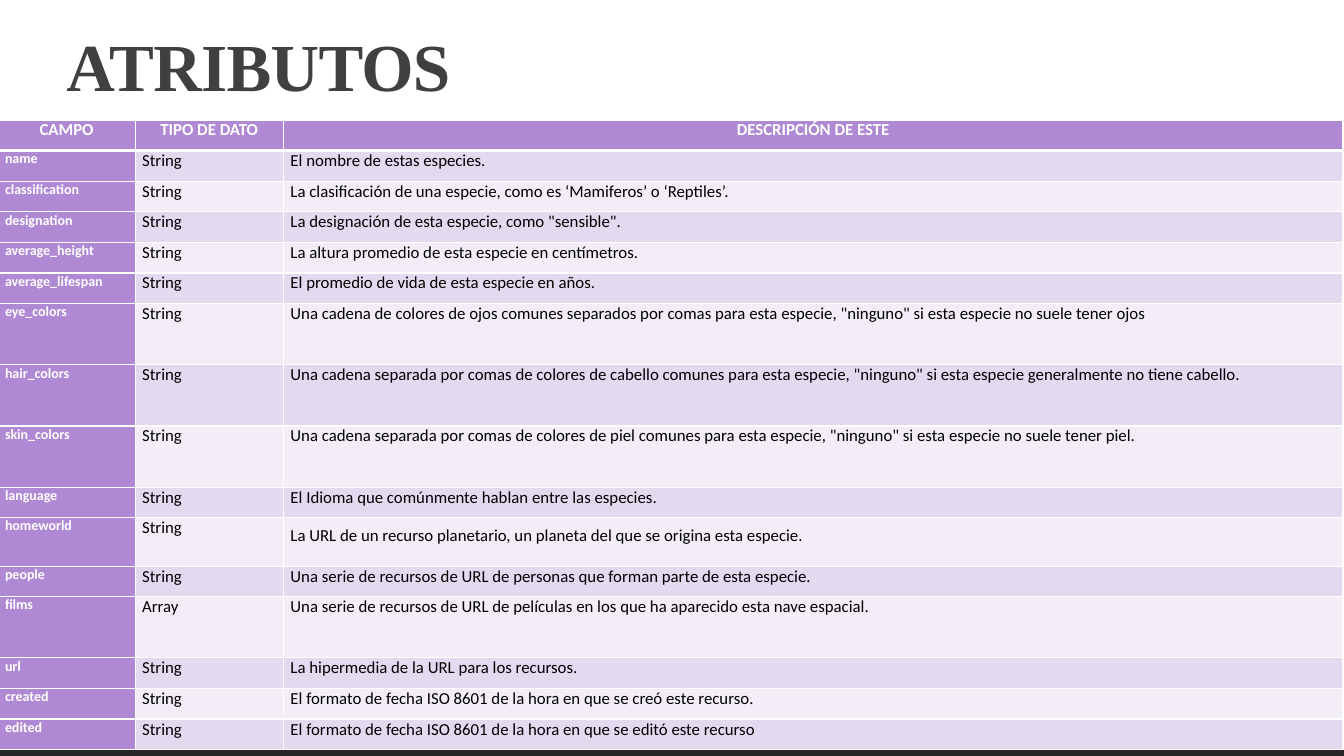
from pptx import Presentation
from pptx import util as u
from pptx.dml.color import RGBColor
from pptx.enum import shapes, text
from pptx.oxml import parse_xml
from pptx.oxml.ns import nsdecls

W, H = 13.33, 7.5
PURPLE, LILAC, PALE, WHITE = "AF89D3", "E3DAEF", "F2EDF7", "FFFFFF"
INSET = 0.07
COLUMNS = (1.36, 1.47, 10.5)
TALL_ROWS = {"eye_colors", "hair_colors", "skin_colors", "films"}
HOMEWORLD_HEIGHT = 0.48
HEADERS = ("CAMPO", "TIPO DE DATO", "DESCRIPCIÓN DE ESTE")
FIELDS = [
    ("name", "String", "El nombre de estas especies."),
    ("classification", "String", "La clasificación de una especie, como es ‘Mamiferos’ o ‘Reptiles’."),
    ("designation", "String", 'La designación de esta especie, como "sensible".'),
    ("average_height", "String", "La altura promedio de esta especie en centímetros."),
    ("average_lifespan", "String", "El promedio de vida de esta especie en años."),
    ("eye_colors", "String", "Una cadena de colores de ojos comunes separados por comas para esta especie, "
     '"ninguno" si esta especie no suele tener ojos'),
    ("hair_colors", "String", "Una cadena separada por comas de colores de cabello comunes para esta especie, "
     '"ninguno" si esta especie generalmente no tiene cabello.'),
    ("skin_colors", "String", "Una cadena separada por comas de colores de piel comunes para esta especie, "
     '"ninguno" si esta especie no suele tener piel.'),
    ("language", "String", "El Idioma que comúnmente hablan entre las especies."),
    ("homeworld", "String", "La URL de un recurso planetario, un planeta del que se origina esta especie."),
    ("people", "String", "Una serie de recursos de URL de personas que forman parte de esta especie."),
    ("films", "Array", "Una serie de recursos de URL de películas en los que ha aparecido esta nave espacial."),
    ("url", "String", "La hipermedia de la URL para los recursos."),
    ("created", "String", "El formato de fecha ISO 8601 de la hora en que se creó este recurso."),
    ("edited", "String", "El formato de fecha ISO 8601 de la hora en que se editó este recurso"),
]


def color(value):
    return RGBColor.from_string(value)


def set_font(p, name, size, value, bold):
    p.font.name, p.font.size, p.font.bold = name, u.Pt(size), bold
    p.font.color.rgb = color(value)


def set_borders(cell, top, bottom):
    tc_pr = cell._tc.get_or_add_tcPr()
    for side, width in (("L", 1), ("R", 1), ("T", top), ("B", bottom)):
        tc_pr.append(parse_xml(
            f'<a:ln{side} {nsdecls("a")} w="{u.Pt(width)}"><a:solidFill>'
            f'<a:srgbClr val="{WHITE}"/></a:solidFill></a:ln{side}>'))


def add_footer_bar(s, x, y, w, h):
    sp = s.shapes.add_shape(shapes.MSO_SHAPE.RECTANGLE, *map(u.Inches, (x, y, w, h)))
    sp.shadow.inherit = False
    sp.fill.solid()
    sp.fill.fore_color.rgb = color("262626")
    sp.line.fill.background()


def add_title(s, x, y, w, h):
    tf = s.shapes.add_textbox(*map(u.Inches, (x, y, w, h))).text_frame
    tf.word_wrap = True
    tf.vertical_anchor = text.MSO_ANCHOR.BOTTOM
    p = tf.paragraphs[0]
    p.line_spacing = 0.9
    r = p.add_run()
    r.text = "ATRIBUTOS"
    set_font(p, "Times New Roman", 48, "404040", True)
    r.font._element.set("spc", "-50")


def fill_cell(cell, content, row, col):
    header, label = row == 0, col == 0
    set_borders(cell, 3 if row == 1 else 1, 3 if header else 1)
    cell.fill.solid()
    cell.fill.fore_color.rgb = color(PURPLE if header or label else LILAC if row % 2 else PALE)
    cell.margin_left = cell.margin_right = u.Inches(INSET)
    cell.margin_top = cell.margin_bottom = 0
    p = cell.text_frame.paragraphs[0]
    p.text = content
    p.alignment = (text.PP_ALIGN.CENTER if header else
                   text.PP_ALIGN.LEFT if col == 2 else text.PP_ALIGN.JUSTIFY)
    strong = header or label
    set_font(p, "Calibri", 10 if label and not header else 12, WHITE if strong else "000000", strong)


def add_attribute_table(s, x, y, w, h):
    rows = [HEADERS] + FIELDS
    units = [2 if row[0] in TALL_ROWS else 1 for row in rows]
    unit = (h - HOMEWORLD_HEIGHT) / (sum(units) - 1)
    table = s.shapes.add_table(len(rows), len(COLUMNS), *map(u.Inches, (x, y, w, h))).table
    for column, share in zip(table.columns, COLUMNS):
        column.width = u.Inches(w * share / sum(COLUMNS))
    for i, row in enumerate(rows):
        homeworld = row[0] == "homeworld"
        table.rows[i].height = u.Inches(HOMEWORLD_HEIGHT if homeworld else unit * units[i])
        for j, content in enumerate(row):
            fill_cell(table.cell(i, j), content, i, j)
        if homeworld:
            table.cell(i, 2).margin_top = u.Inches(0.08)


def main():
    prs = Presentation()
    prs.slide_width, prs.slide_height = u.Inches(W), u.Inches(H)
    s = prs.slides.add_slide(prs.slide_layouts[6])
    add_footer_bar(s, 0, H - 0.5, W, 0.5)
    add_title(s, 0.56, 0, 4.79, 1.1)
    add_attribute_table(s, -0.02, 1.19, 13.34, 6.25)
    prs.save("out.pptx")


if __name__ == "__main__":
    main()
